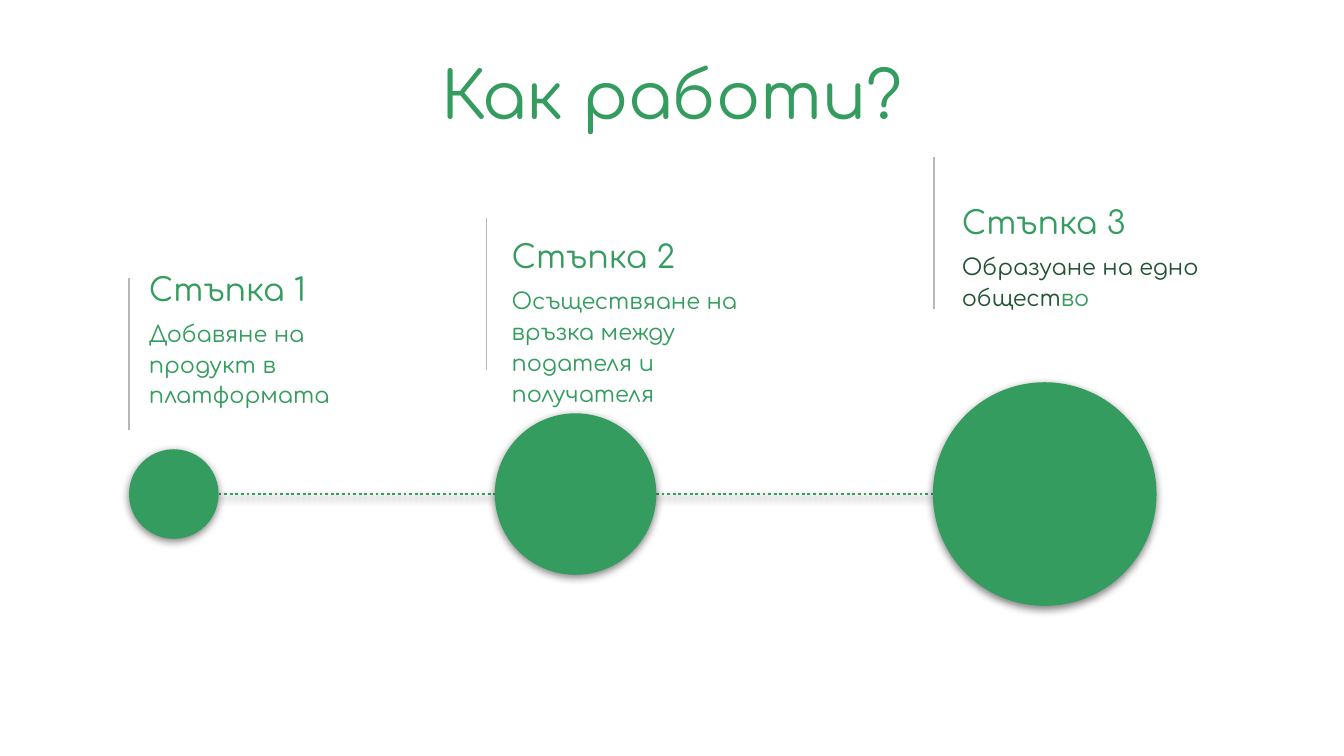
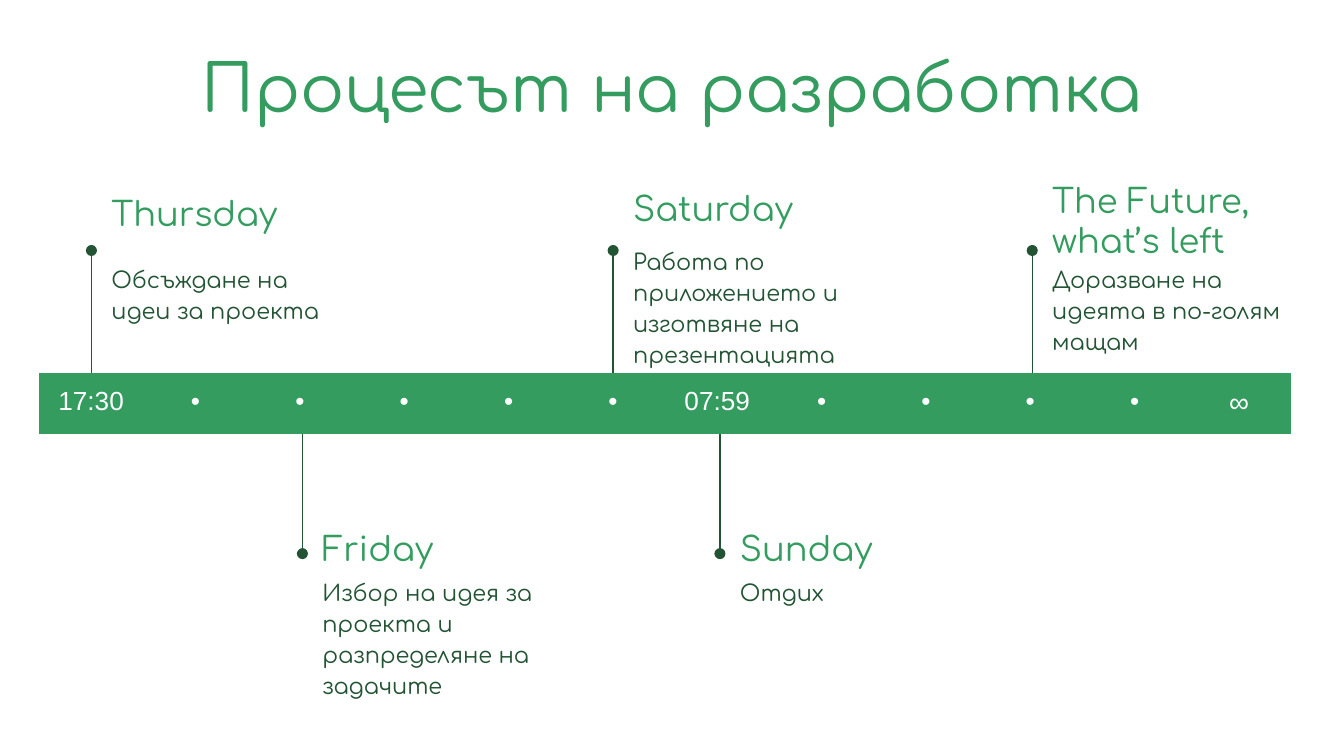
from dataclasses import dataclass

from lxml import etree
from pptx import Presentation
from pptx.dml.color import RGBColor
from pptx.enum import dml, shapes, text
from pptx.oxml.ns import qn
from pptx.util import Pt

GREEN, DARK, GREY, WHITE, BLACK = "339C5E", "225333", "B7B7B7", "FFFFFF", "000000"
HEADING_FONT, HOUR_FONT = "Comfortaa", "Arial"
INSET = 7.2
NOTE_WIDTH, HEADING_HEIGHT = 142.6, 31
PLAIN_TABLE = "{2D5ABB26-0587-4C30-8999-92F81FD0307C}"


@dataclass(frozen=True)
class Words:
    content: str
    colour: str = DARK
    size: float = 12
    font: str = HEADING_FONT


@dataclass(frozen=True)
class Note:
    left: float
    heading_top: float
    body_top: float
    body_height: float
    heading: Words
    body: tuple[Words, ...]


@dataclass(frozen=True)
class Stem:
    x: float
    start: float
    end: float


@dataclass(frozen=True)
class Circle:
    left: float
    diameter: float


def rgb(colour: str) -> RGBColor:
    return RGBColor.from_string(colour)


def write(paragraph, runs: tuple[Words, ...]) -> None:
    for words in runs:
        run = paragraph.add_run()
        run.text = words.content
        run.font.size = Pt(words.size)
        run.font.name = words.font
        run.font.color.rgb = rgb(words.colour)


def add_text(slide, left: float, top: float, width: float, height: float,
             runs: tuple[Words, ...], anchor=text.MSO_ANCHOR.TOP):
    frame = slide.shapes.add_textbox(Pt(left), Pt(top), Pt(width), Pt(height)).text_frame
    frame.word_wrap = True
    frame.vertical_anchor = anchor
    frame.margin_left = frame.margin_right = Pt(INSET)
    frame.margin_top = frame.margin_bottom = Pt(INSET)
    paragraph = frame.paragraphs[0]
    write(paragraph, runs)
    return paragraph


def add_title(slide, top: float, content: str) -> None:
    title = add_text(slide, 47.5, top, 625, 77, (Words(content, GREEN, 35),))
    title.alignment = text.PP_ALIGN.CENTER


def add_note(slide, note: Note) -> None:
    add_text(slide, note.left, note.heading_top, NOTE_WIDTH, HEADING_HEIGHT,
             (note.heading,), text.MSO_ANCHOR.MIDDLE)
    body = add_text(slide, note.left, note.body_top, NOTE_WIDTH, note.body_height, note.body)
    body.line_spacing = 1.15
    body.space_after = Pt(16)


def add_line(slide, start: tuple[float, float], end: tuple[float, float],
             colour: str, width: float = 0.75):
    line = slide.shapes.add_connector(shapes.MSO_CONNECTOR.STRAIGHT,
                                      *(Pt(value) for value in start + end))
    line.line.color.rgb = rgb(colour)
    line.line.width = Pt(width)
    etree.SubElement(line._element.spPr, qn("a:effectLst"))
    return line


def add_stem(slide, stem: Stem, colour: str):
    return add_line(slide, (stem.x, stem.start), (stem.x, stem.end), colour)


def cast_shadow(item) -> None:
    effects = item._element.spPr.find(qn("a:effectLst"))
    shadow = etree.SubElement(effects, qn("a:outerShdw"), blurRad=str(Pt(4.5)),
                              dist=str(Pt(1.5)), dir="5400000", algn="bl", rotWithShape="0")
    tint = etree.SubElement(shadow, qn("a:srgbClr"), val=BLACK)
    etree.SubElement(tint, qn("a:alpha"), val="50000")


def add_circle(slide, circle: Circle, middle: float) -> None:
    disc = slide.shapes.add_shape(shapes.MSO_SHAPE.OVAL, Pt(circle.left),
                                  Pt(middle - circle.diameter / 2),
                                  Pt(circle.diameter), Pt(circle.diameter))
    disc.shadow.inherit = False
    disc.fill.solid()
    disc.fill.fore_color.rgb = rgb(GREEN)
    disc.line.fill.background()
    cast_shadow(disc)


def add_hours(slide, left: float, top: float, hours: list[Words]) -> None:
    column_width, row_height = 55.9, 30.5
    frame = slide.shapes.add_table(1, len(hours), Pt(left), Pt(top),
                                   Pt(column_width * len(hours)), Pt(row_height))
    band = frame.table
    band.first_row = band.horz_banding = False
    band._tbl.tblPr.find(qn("a:tableStyleId")).text = PLAIN_TABLE
    for column, hour in enumerate(hours):
        band.columns[column].width = Pt(column_width)
        cell = band.cell(0, column)
        cell.fill.solid()
        cell.fill.fore_color.rgb = rgb(GREEN)
        cell.margin_left = cell.margin_right = Pt(INSET)
        cell.margin_top = cell.margin_bottom = Pt(INSET)
        paragraph = cell.text_frame.paragraphs[0]
        paragraph.alignment = text.PP_ALIGN.CENTER
        write(paragraph, (hour,))


def build_steps(slide) -> None:
    add_title(slide, 21.6, "Как работи?")
    stem_height, middle = 81.5, 264.7
    steps = (
        (69.1, 149, Note(72.7, 139, 162, 60.5, Words("Стъпка 1", GREEN, 17),
                         (Words("Добавяне на продукт в платформата", GREEN),))),
        (260.7, 116.6, Note(267, 121.5, 144.6, 78, Words("Стъпка 2", GREEN, 17),
                            (Words("Осъществяане на връзка между подателя и получателя", GREEN),))),
        (500.3, 84.2, Note(508.2, 103.4, 126.3, 72, Words("Стъпка 3", GREEN, 17),
                           (Words("Образуане на едно общест"), Words("во", GREEN)))),
    )
    for x, top, note in steps:
        add_stem(slide, Stem(x, top, top + stem_height), GREY)
        add_note(slide, note)

    circles = (Circle(69.1, 48), Circle(265.1, 86.5), Circle(499.8, 119.8))
    first, last = circles[0], circles[-1]
    track = add_line(slide, (first.left + first.diameter, middle), (last.left, middle), GREEN, 1.5)
    track.line.dash_style = dml.MSO_LINE.ROUND_DOT
    cast_shadow(track)
    for circle in circles:
        add_circle(slide, circle, middle)


def build_schedule(slide) -> None:
    add_title(slide, 18, "Процесът на разработка")
    band_top, band_bottom = 200, 231
    above, below = 134.2, 296.6
    days = (
        (49, above, 98.6, 133.2, 45.4, "Thursday", "Обсъждане на идеи за проекта"),
        (162, below, 278, 301, 81.4, "Friday",
         "Избор на идея за проекта и разпределяне на задачите"),
        (328.5, above, 96, 123.5, 73.4, "Saturday",
         "Работа по приложението и изготвяне на презентацията"),
        (385.7, below, 278, 301, 68.4, "Sunday", "Отдих"),
        (553, above, 102.5, 133.2, 65.5, "The Future, what’s left",
         "Доразване на идеята в по-голям мащам"),
    )
    for x, end, heading_top, body_top, body_height, day, work in days:
        start = band_top if end == above else band_bottom
        stem = add_stem(slide, Stem(x, start, end), DARK)
        outline = stem._element.spPr.find(qn("a:ln"))
        etree.SubElement(outline, qn("a:tailEnd"), type="oval", w="med", len="med")
        add_note(slide, Note(x + 3.6, heading_top, body_top, body_height,
                             Words(day, GREEN, 18), (Words(work),)))

    marks = {0: "17:30", 6: "07:59", 11: "∞"}
    hours = [Words(marks.get(column, "•"), WHITE, 15 if column == 11 else 14, HOUR_FONT)
             for column in range(12)]
    add_hours(slide, 20.9, band_top, hours)


def main() -> None:
    deck = Presentation()
    deck.slide_width, deck.slide_height = Pt(720), Pt(405)
    for build in (build_steps, build_schedule):
        build(deck.slides.add_slide(deck.slide_layouts[6]))
    deck.save("out.pptx")


if __name__ == "__main__":
    main()
